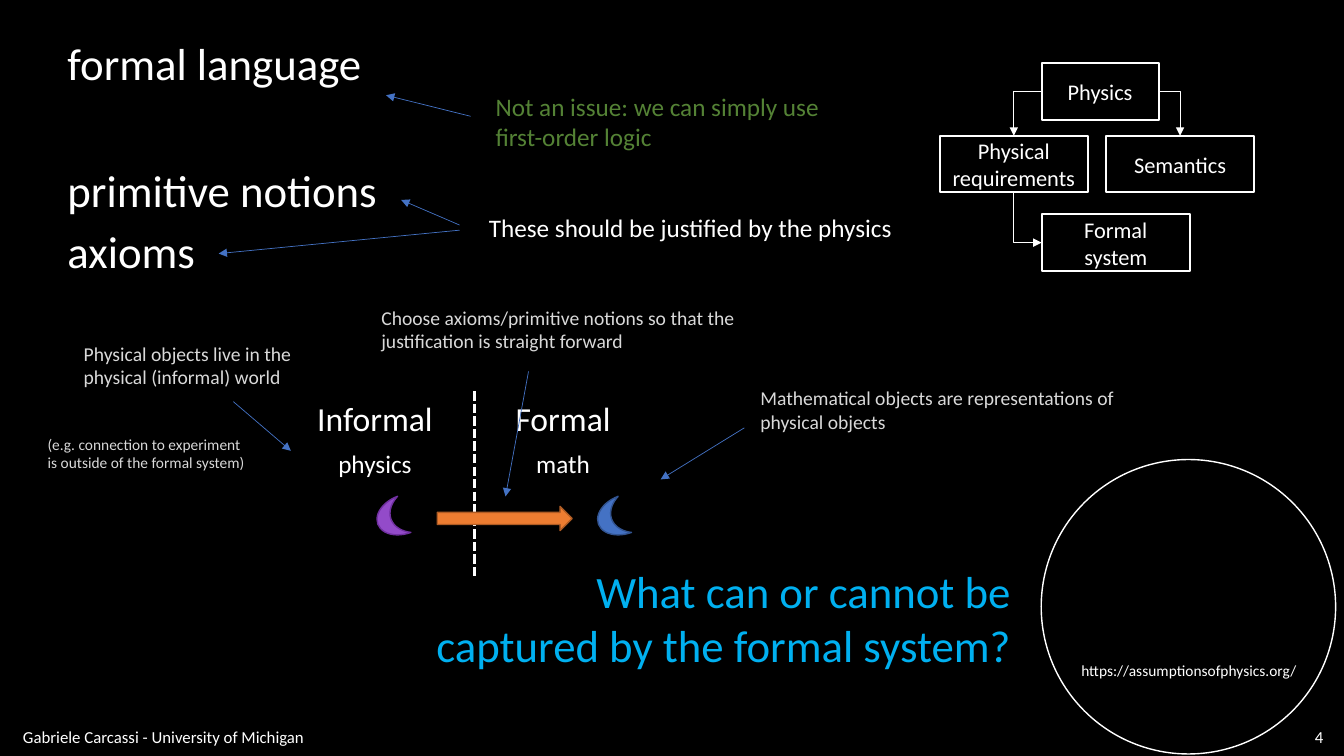
from lxml import etree
from pptx import Presentation
from pptx.dml.color import RGBColor
from pptx.enum.dml import MSO_LINE
from pptx.enum.shapes import MSO_CONNECTOR, MSO_SHAPE
from pptx.enum.text import MSO_ANCHOR, PP_ALIGN
from pptx.oxml.ns import qn
from pptx.util import Cm, Pt

LEFT, CENTER, RIGHT = PP_ALIGN.LEFT, PP_ALIGN.CENTER, PP_ALIGN.RIGHT
TOP, MIDDLE = MSO_ANCHOR.TOP, MSO_ANCHOR.MIDDLE
STRAIGHT, ELBOW = MSO_CONNECTOR.STRAIGHT, MSO_CONNECTOR.ELBOW
RECT, OVAL = MSO_SHAPE.RECTANGLE, MSO_SHAPE.OVAL
MOON, ARROW = MSO_SHAPE.MOON, MSO_SHAPE.RIGHT_ARROW
DASH = MSO_LINE.SQUARE_DOT
FONT = "Calibri"
COLORS = {
    "black": "000000", "white": "FFFFFF", "gray": "D9D9D9",
    "green": "548235", "sky": "00B0F0",
    "blue": "4472C4", "dark_blue": "325491",
    "orange": "ED7D31", "dark_orange": "AF5C24",
    "purple": "934BC9", "dark_purple": "7030A0",
}


def rgb(name):
    return RGBColor.from_string(COLORS[name])


def write(sp, text, size, color, align, anchor, wrap=True):
    tf = sp.text_frame
    tf.word_wrap = wrap
    tf.vertical_anchor = anchor
    p = tf.paragraphs[0]
    p.text = text
    p.alignment = align
    for r in p.runs:
        r.font.name = FONT
        r.font.size = Pt(size)
        r.font.color.rgb = rgb(color)


def add_text(slide, x, y, w, h, text, size, color="white", align=LEFT,
             anchor=TOP, wrap=True):
    sp = slide.shapes.add_textbox(Cm(x), Cm(y), Cm(w), Cm(h))
    write(sp, text, size, color, align, anchor, wrap)


def add_shape(slide, kind, x, y, w, h, fill, line, width=1):
    sp = slide.shapes.add_shape(kind, Cm(x), Cm(y), Cm(w), Cm(h))
    sp.shadow.inherit = False
    if fill:
        sp.fill.solid()
        sp.fill.fore_color.rgb = rgb(fill)
    else:
        sp.fill.background()
    sp.line.color.rgb = rgb(line)
    sp.line.width = Pt(width)
    return sp


def add_line(slide, x1, y1, x2, y2, color, width=0.5, kind=STRAIGHT,
             arrow="tailEnd"):
    """Connector; arrow names the end that gets a triangle, or is None."""
    line = slide.shapes.add_connector(kind, Cm(x1), Cm(y1), Cm(x2), Cm(y2))
    line.line.color.rgb = rgb(color)
    line.line.width = Pt(width)
    if arrow:
        ln = line.line._get_or_add_ln()
        etree.SubElement(ln, qn("a:" + arrow), type="triangle")
    sp_pr = line._element.spPr
    etree.SubElement(sp_pr, qn("a:effectLst"))
    if kind == ELBOW:  # one corner: across, then up or down
        sp_pr.find(qn("a:prstGeom")).set("prst", "bentConnector2")
    return line


def add_corner(slide, x, y):
    """Circle with the site address near its bottom."""
    add_shape(slide, OVAL, x, y, 7.42, 7.42, None, "white")
    add_text(slide, x + 0.76, y + 4.95, 5.97, 0.74,
             "https://assumptionsofphysics.org/", 11, wrap=False)


def add_footer(slide, x, y):
    add_text(slide, x, y, 16.59, 0.66,
             "Gabriele Carcassi - University of Michigan", 12, anchor=MIDDLE)
    add_text(slide, x + 31.72, y, 1.55, 0.66, "4", 12,
             align=RIGHT, anchor=MIDDLE)


def add_terms(slide, x, y):
    """The three parts of a formal system, with remarks pointing at them."""
    for dy, w, term in ((0, 8, "formal language"),
                        (3.2, 8.41, "primitive notions"),
                        (4.75, 3.76, "axioms")):
        add_text(slide, x, y + dy, w, 1.63, term, 32, wrap=False)
    add_text(slide, x + 10.79, y + 1.4, 9.35, 1.8,
             "Not an issue: we can simply use first-order logic", 18, "green")
    add_text(slide, x + 10.62, y + 4.45, 10.9, 1.02,
             "These should be justified by the physics", 18)
    for x1, y1, x2, y2 in ((10.41, 2.16, 8.28, 1.63),
                           (10.13, 4.9, 8.66, 4.27),
                           (10.13, 5.03, 4.06, 5.62)):
        add_line(slide, x + x1, y + y1, x + x2, y + y2, "blue")


def add_flow(slide, x, y):
    """Physics leads to requirements and semantics, then the system."""
    narrow, wide, h = 2.95, 3.74, 1.43
    indent, right = 2.57, 4.19
    row2, row3 = y + 1.83, y + 3.81
    for left, top, w, text in ((x + indent, y, narrow, "Physics"),
                               (x + indent, row3, wide, "Formal system"),
                               (x, row2, wide, "Physical requirements"),
                               (x + right, row2, wide, "Semantics")):
        sp = add_shape(slide, RECT, left, top, w, h, "black", "white", 1.5)
        write(sp, text, 16, "white", CENTER, MIDDLE)
    mid_left, mid_right = x + wide / 2, x + right + wide / 2
    add_line(slide, x + indent, y + h / 2, mid_left, row2,
             "white", kind=ELBOW)
    add_line(slide, x + indent + narrow, y + h / 2, mid_right, row2,
             "white", kind=ELBOW)
    add_line(slide, x + indent, row3 + h / 2, mid_left, row2 + h,
             "white", kind=ELBOW, arrow="headEnd")


def add_worlds(slide, x, y):
    """Informal and formal sides of a dashed border, with an arrow across."""
    border = add_line(slide, x + 4.24, y, x + 4.24, y + 4.65, "white", 2.25,
                      arrow=None)
    border.line.dash_style = DASH
    sides = (
        (1.73, "Informal", 3.43, "physics", 2.4, 1.78, "purple"),
        (6.47, "Formal", 2.95, "math", 2.1, 7.34, "blue"),
    )
    for center, title, title_w, sub, sub_w, moon_x, color in sides:
        add_text(slide, x + center - title_w / 2, y + 0.05, title_w, 1.27,
                 title, 24, align=CENTER, wrap=False)
        add_text(slide, x + center - sub_w / 2, y + 1.32, sub_w, 1.02,
                 sub, 18, align=CENTER, wrap=False)
        moon = add_shape(slide, MOON, x + moon_x, y + 2.74, 0.71, 0.97,
                         color, "dark_" + color)
        moon.rotation = 339.7
    add_shape(slide, ARROW, x + 3.3, y + 2.9, 3.4, 0.61,
              "orange", "dark_orange")


def add_remarks(slide, x, y):
    """Gray remarks around the two worlds, with their arrows."""
    remarks = (
        (0.91, 0.91, 5.79, 1.45, 14,
         "Physical objects live in the\nphysical (informal) world"),
        (0, 3.25, 5.56, 1.19, 11,
         "(e.g. connection to experiment is outside of the formal system)"),
        (17.96, 2.03, 9.53, 1.45, 14,
         "Mathematical objects are representations of physical objects"),
        (8.41, 0, 10.9, 1.45, 14,
         "Choose axioms/primitive notions so that the "
         "justification is straight forward"),
    )
    for dx, dy, w, h, size, text in remarks:
        add_text(slide, x + dx, y + dy, w, h, text, size, "gray")
    for x1, y1, x2, y2 in ((4.93, 2.54, 6.38, 3.78),
                           (17.81, 3.2, 15.7, 4.5),
                           (12.37, 1.78, 11.79, 4.93)):
        add_line(slide, x + x1, y + y1, x + x2, y + y2, "blue")


def main():
    prs = Presentation()
    prs.slide_width, prs.slide_height = Cm(33.87), Cm(19.05)
    slide = prs.slides.add_slide(prs.slide_layouts[6])
    slide.background.fill.solid()
    slide.background.fill.fore_color.rgb = rgb("black")
    add_corner(slide, 26.24, 11.58)
    add_footer(slide, 0.33, 18.24)
    add_terms(slide, 1.45, 0.77)
    add_flow(slide, 23.68, 1.59)
    add_worlds(slide, 7.72, 9.86)
    add_remarks(slide, 0.95, 7.58)
    add_text(slide, 10.62, 14.08, 15.11, 3,
             "What can or cannot be captured by the formal system?",
             32, "sky", RIGHT)
    prs.save("out.pptx")


if __name__ == "__main__":
    main()
